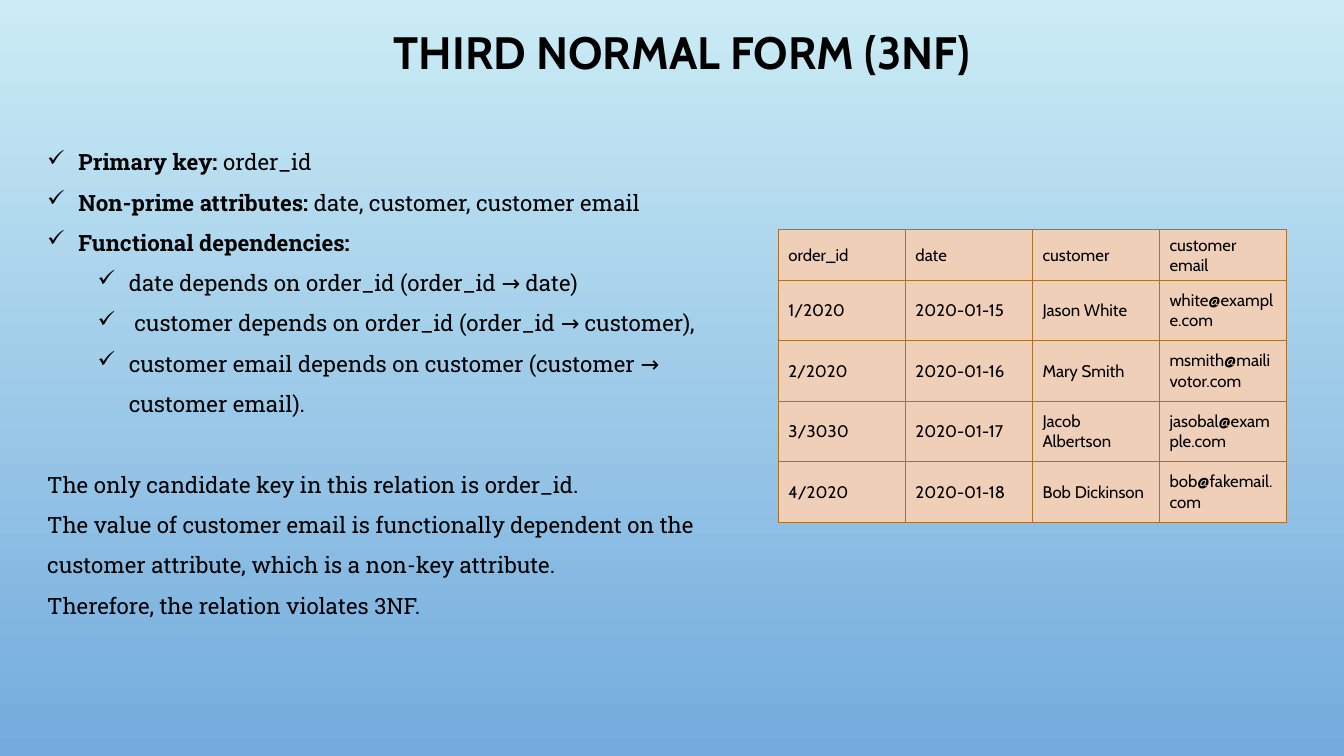
from lxml.etree import SubElement
from pptx import Presentation
from pptx.dml.color import RGBColor
from pptx.enum.text import MSO_ANCHOR, PP_ALIGN
from pptx.oxml.ns import qn
from pptx.util import Inches, Pt

COLORS = {
    "sky": "CBECF5",
    "blue": "73ABDD",
    "peach": "EFCFB8",
    "brown": "AC712D",
    "ink": "000000",
}
HEADING_FONT = "Cabin"
BODY_FONT = "Roboto Slab"
INDENT = 0.31
LEVEL_STEP = 0.5
COLUMN_WIDTH = 1.26
HEADER_HEIGHT = 0.35
ROW_HEIGHT = 0.6

BULLETS = [
    (0, "Primary key: ", "order_id"),
    (0, "Non-prime attributes:", " date, customer, customer email"),
    (0, "Functional dependencies:", ""),
    (1, "", "date depends on order_id (order_id → date)"),
    (1, "", " customer depends on order_id (order_id → customer),"),
    (1, "", "customer email depends on customer (customer → customer email)."),
]
CONCLUSIONS = [
    "The only candidate key in this relation is order_id.",
    "The value of customer email is functionally dependent on the "
    "customer attribute, which is a non-key attribute.",
    "Therefore, the relation violates 3NF.",
]
ORDERS = [
    ("order_id", "date", "customer", "customer email"),
    ("1/2020", "2020-01-15", "Jason White", "white@example.com"),
    ("2/2020", "2020-01-16", "Mary Smith", "msmith@mailivotor.com"),
    ("3/3030", "2020-01-17", "Jacob Albertson", "jasobal@example.com"),
    ("4/2020", "2020-01-18", "Bob Dickinson", "bob@fakemail.com"),
]


def set_font(target, name, size):
    target.font.name = name
    target.font.size = Pt(size)
    target.font.color.rgb = RGBColor.from_string(COLORS["ink"])


def add_body_paragraph(frame, first):
    para = frame.paragraphs[0] if first else frame.add_paragraph()
    para.line_spacing = 1.5
    return para


deck = Presentation()
deck.slide_width = Inches(13.33)
deck.slide_height = Inches(7.5)
page = deck.slides.add_slide(deck.slide_layouts[6])

backdrop = page.background.fill
backdrop.gradient()
backdrop.gradient_angle = 270
for stop, position, shade in zip(backdrop.gradient_stops, (0, 1), ("sky", "blue")):
    stop.position = position
    stop.color.rgb = RGBColor.from_string(COLORS[shade])

title_box = page.shapes.add_textbox(Inches(1.1), Inches(0.24), Inches(11.33), Inches(0.6))
title_frame = title_box.text_frame
title_frame.word_wrap = True
title_frame.vertical_anchor = MSO_ANCHOR.MIDDLE
title = title_frame.paragraphs[0]
title.text = "THIRD NORMAL FORM (3NF)"
title.alignment = PP_ALIGN.CENTER
title.line_spacing = 0.9
set_font(title, HEADING_FONT, 32.4)
title.font.bold = True

body_box = page.shapes.add_textbox(Inches(0.37), Inches(1.29), Inches(7.24), Inches(4.9))
body_frame = body_box.text_frame
body_frame.word_wrap = True
for index, (level, label, detail) in enumerate(BULLETS):
    para = add_body_paragraph(body_frame, index == 0)
    para.level = level
    properties = para._p.get_or_add_pPr()
    properties.set("marL", str(Inches(INDENT + level * LEVEL_STEP)))
    properties.set("indent", str(-Inches(INDENT)))
    SubElement(properties, qn("a:buChar")).set("char", "✓")
    set_font(para, BODY_FONT, 16)
    for text, bold in ((label, True), (detail, False)):
        if text:
            span = para.add_run()
            span.text = text
            span.font.bold = bold
            set_font(span, BODY_FONT, 16)

for index, sentence in enumerate(CONCLUSIONS):
    para = add_body_paragraph(body_frame, False)
    para.text = sentence
    if index == 0:
        para.space_before = Pt(29)
    set_font(para, BODY_FONT, 16)

row_count, column_count = len(ORDERS), len(ORDERS[0])
table = page.shapes.add_table(
    row_count, column_count, Inches(7.72), Inches(2.28),
    Inches(COLUMN_WIDTH * column_count),
    Inches(HEADER_HEIGHT + ROW_HEIGHT * (row_count - 1)),
).table
table.first_row = False
table.horz_banding = False
for column in table.columns:
    column.width = Inches(COLUMN_WIDTH)
for row_index, (row, values) in enumerate(zip(table.rows, ORDERS)):
    row.height = Inches(ROW_HEIGHT if row_index else HEADER_HEIGHT)
    for cell, value in zip(row.cells, values):
        cell.vertical_anchor = MSO_ANCHOR.MIDDLE
        para = cell.text_frame.paragraphs[0]
        para.text = value
        set_font(para, HEADING_FONT, 12)
        cell_properties = cell._tc.get_or_add_tcPr()
        for side in ("lnL", "lnR", "lnT", "lnB"):
            border = SubElement(cell_properties, qn(f"a:{side}"), w=str(Pt(0.75)))
            border_fill = SubElement(border, qn("a:solidFill"))
            SubElement(border_fill, qn("a:srgbClr"), val=COLORS["brown"])
        cell.fill.solid()
        cell.fill.fore_color.rgb = RGBColor.from_string(COLORS["peach"])

deck.save("out.pptx")
